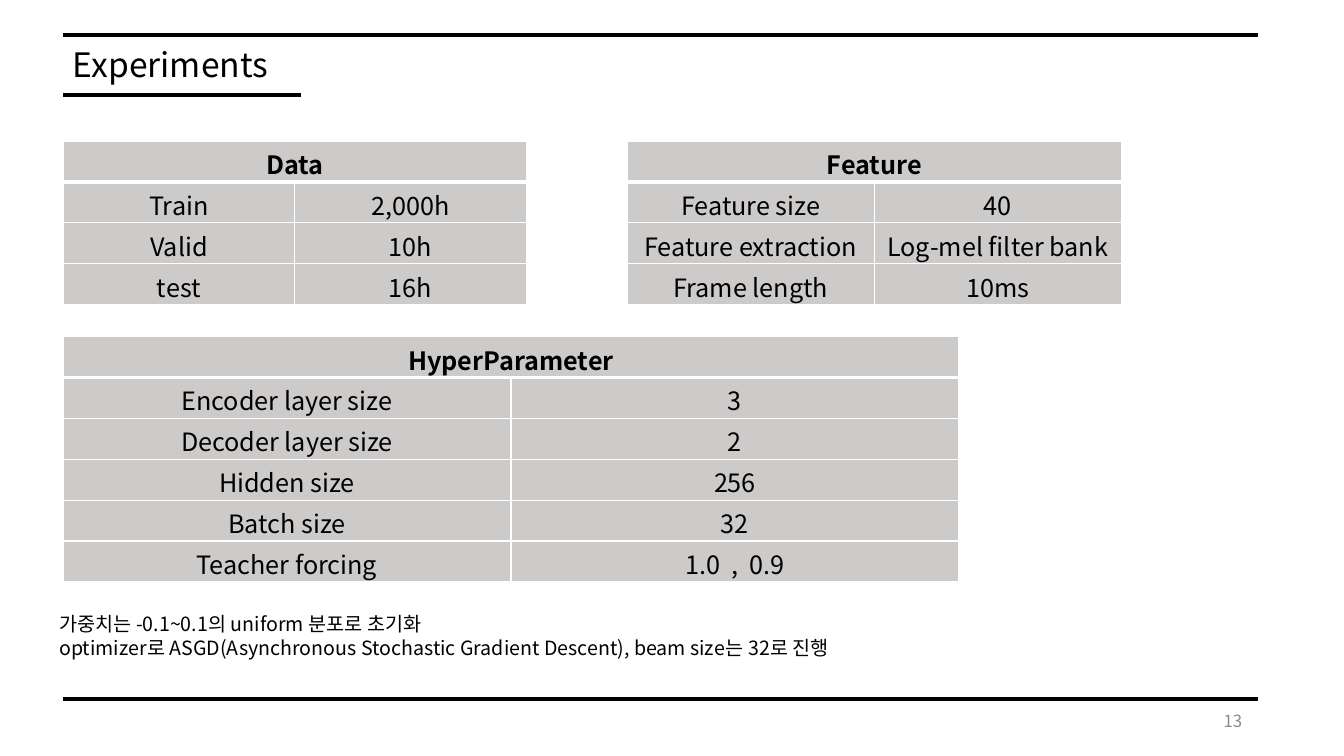
from lxml.etree import SubElement
from pptx import Presentation
from pptx.dml.color import RGBColor
from pptx.enum.shapes import MSO_CONNECTOR
from pptx.enum.text import MSO_ANCHOR, PP_ALIGN
from pptx.oxml import parse_xml
from pptx.oxml.ns import nsdecls, qn
from pptx.util import Pt

FONT = "Noto Sans CJK KR"
BLACK, WHITE, GRAY, CELL_GRAY = "000000", "FFFFFF", "8C8C8C", "AFABAB"
LEFT, RIGHT = 45, 898.5
ROW_HEIGHT = 29.2

DATA = ("Data", [("Train", "2,000h"), ("Valid", "10h"), ("test", "16h")])
FEATURE = ("Feature", [
    ("Feature size", "40"),
    ("Feature extraction", "Log-mel filter bank"),
    ("Frame length", "10ms"),
])
HYPERPARAMETER = ("HyperParameter", [
    ("Encoder layer size", "3"),
    ("Decoder layer size", "2"),
    ("Hidden size", "256"),
    ("Batch size", "32"),
    ("Teacher forcing", "1.0  ,  0.9"),
])
NOTES = (
    "가중치는 -0.1~0.1의 uniform 분포로 초기화\n"
    "optimizer로 ASGD(Asynchronous Stochastic Gradient Descent), beam size는 32로 진행"
)


def color(hex_string):
    return RGBColor.from_string(hex_string)


def format_text(text_frame, size, hex_string=BLACK, align=PP_ALIGN.LEFT, bold=False):
    for paragraph in text_frame.paragraphs:
        paragraph.alignment = align
        for run in paragraph.runs:
            run.font.name = FONT
            run.font.size = Pt(size)
            run.font.bold = bold
            run.font.color.rgb = color(hex_string)
            # Korean letters take the East Asian font
            SubElement(run.font._element, qn("a:ea"), typeface=FONT)


def add_text(slide, box, text, size, **style):
    text_frame = slide.shapes.add_textbox(*map(Pt, box)).text_frame
    text_frame.word_wrap = True
    text_frame.text = text
    format_text(text_frame, size, **style)
    return text_frame


def add_rule(slide, left, right, y):
    rule = slide.shapes.add_connector(
        MSO_CONNECTOR.STRAIGHT, Pt(left), Pt(y), Pt(right), Pt(y))
    rule.line.color.rgb = color(BLACK)
    rule.line.width = Pt(3)
    SubElement(rule._element.spPr, qn("a:effectLst"))


def set_borders(cell, top, bottom):
    properties = cell._tc.get_or_add_tcPr()
    widths = {"lnL": 1, "lnR": 1, "lnT": top, "lnB": bottom}
    for index, (side, width) in enumerate(widths.items()):
        properties.insert(index, parse_xml(
            f'<a:{side} {nsdecls("a")} w="{Pt(width)}"><a:solidFill>'
            f'<a:srgbClr val="{WHITE}"/></a:solidFill></a:{side}>'))


def format_cell(cell, row):
    cell.margin_top, cell.margin_bottom = Pt(3), Pt(0)
    cell.fill.solid()
    cell.fill.fore_color.rgb = color(CELL_GRAY)
    fill_color = cell._tc.tcPr.find(".//" + qn("a:srgbClr"))
    SubElement(fill_color, qn("a:alpha"), val="62000")
    # Heavier border under the heading row
    set_borders(cell, top=3 if row == 1 else 1, bottom=3 if row == 0 else 1)
    format_text(cell.text_frame, 18, align=PP_ALIGN.CENTER, bold=row == 0)


def add_settings_table(slide, left, top, width, content):
    heading, pairs = content
    rows = [(heading, "")] + pairs
    table = slide.shapes.add_table(
        len(rows), 2, Pt(left), Pt(top), Pt(width), Pt(ROW_HEIGHT * len(rows))).table
    table.horz_banding = False
    for row, texts in enumerate(rows):
        table.rows[row].height = Pt(ROW_HEIGHT)
        for column, text in enumerate(texts):
            cell = table.cell(row, column)
            cell.text = text
            format_cell(cell, row)
    table.cell(0, 0).merge(table.cell(0, 1))


def add_header(slide, left, top, right):
    add_rule(slide, left, right, top)
    title = add_text(slide, (left, top + 6.5, 720, 36), "Experiments", 24)
    title.margin_top = Pt(0)
    add_rule(slide, left, left + 170, top + 43)


def add_footer(slide, left, top, right):
    add_rule(slide, left, right, top)
    number = add_text(slide, (right - 220, top + 0.5, 216, 29), "13", 12,
                      hex_string=GRAY, align=PP_ALIGN.RIGHT)
    number.vertical_anchor = MSO_ANCHOR.MIDDLE


def add_notes(slide, left, top, width, height):
    notes = add_text(slide, (left, top, width, height), NOTES, 14)
    for paragraph in notes.paragraphs:
        paragraph.line_spacing = Pt(17.1)


def main():
    presentation = Presentation()
    presentation.slide_width, presentation.slide_height = Pt(960), Pt(540)
    slide = presentation.slides.add_slide(presentation.slide_layouts[6])

    add_header(slide, LEFT, 25, RIGHT)
    add_settings_table(slide, LEFT, 100.8, 331, DATA)
    add_settings_table(slide, 448, 100.8, 353, FEATURE)
    add_settings_table(slide, LEFT, 240.5, 640, HYPERPARAMETER)
    add_notes(slide, 35.3, 433.4, 873, 58)
    add_footer(slide, LEFT, 499.5, RIGHT)

    presentation.save("out.pptx")


if __name__ == "__main__":
    main()
